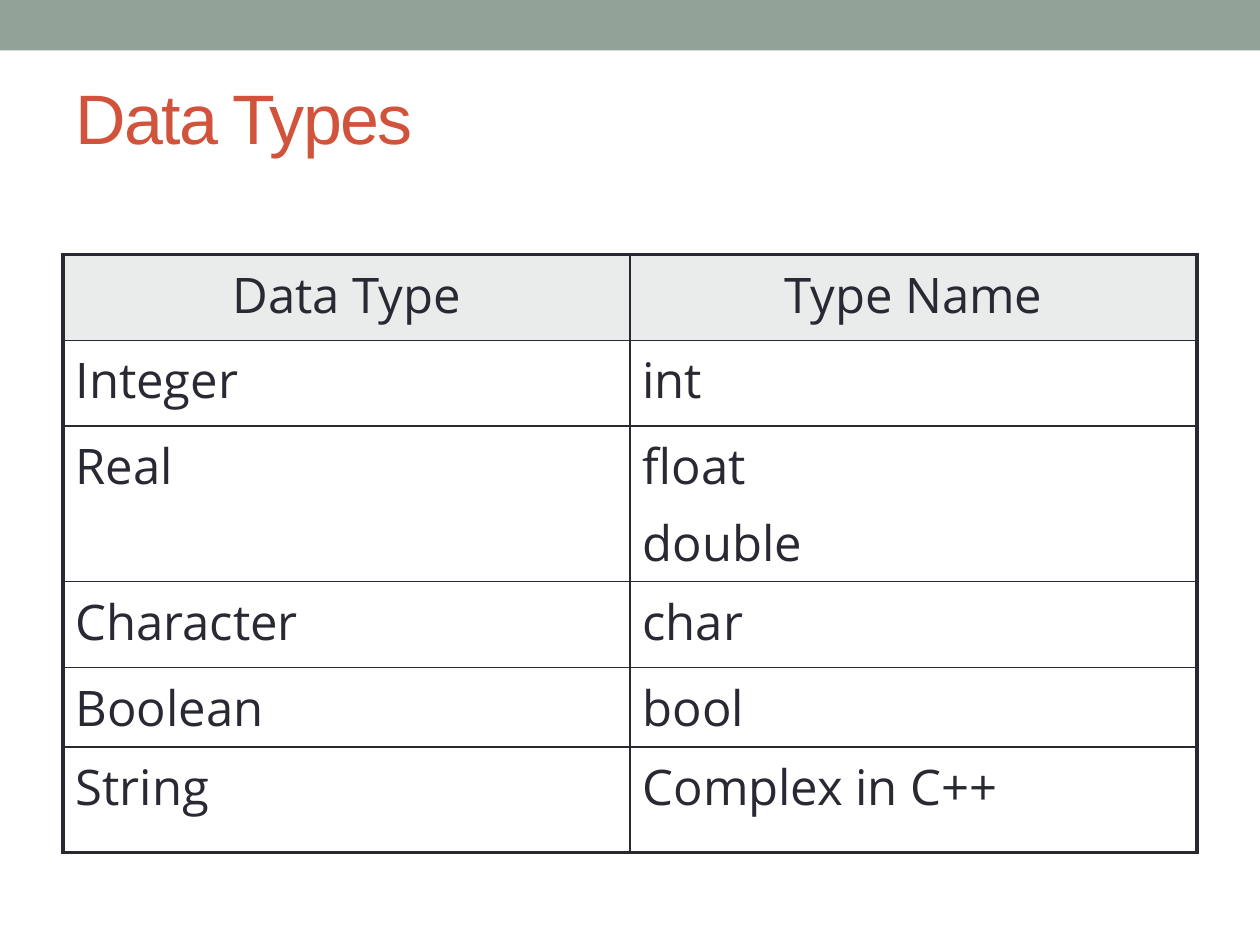
"""Builds the Data Types slide with its table of C++ type names."""
from lxml.etree import SubElement
from pptx import Presentation
from pptx.dml.color import RGBColor
from pptx.enum.shapes import MSO_SHAPE as Preset
from pptx.enum.text import MSO_ANCHOR as Anchor, MSO_AUTO_SIZE as AutoSize, PP_ALIGN as Align
from pptx.oxml.ns import qn
from pptx.util import Cm, Pt

INK, RUST, SAGE, MIST = "292934", "D2533C", "93A299", "E9ECEB"
TYPE_ROWS = [
    ("Data Type", "Type Name", 1.73),
    ("Integer", "int", 1.73),
    ("Real", "float\ndouble", 2.74),
    ("Character", "char", 1.73),
    ("Boolean", "bool", 1.6),
    ("String", "Complex in C++", 2.13),
]


def color(hex_code):
    return RGBColor.from_string(hex_code)


def apply(target, values):
    for name, value in values.items():
        setattr(target, name, value)


class SlideBuilder:
    title_font = {"name": "Arial", "size": Pt(40), "bold": False}
    cell_font = {"name": "Open Sans", "size": Pt(28), "bold": False}
    thin, thick = Pt(1), Pt(2.25)

    def __init__(self, deck):
        self.slide = deck.slides.add_slide(deck.slide_layouts[5])

    def band(self, width, height, fill):
        band = self.slide.shapes.add_shape(Preset.RECTANGLE, 0, 0, width, height)
        band.shadow.inherit = False
        band.fill.solid()
        band.fill.fore_color.rgb = color(fill)
        band.line.fill.background()

    def title(self, wording, box):
        title = self.slide.shapes.title
        apply(title, box)
        apply(title.text_frame, {"text": wording, "vertical_anchor": Anchor.MIDDLE,
                                 "auto_size": AutoSize.NONE, "word_wrap": True})
        heading = title.text_frame.paragraphs[0]
        heading.alignment = Align.LEFT
        run = heading.runs[0]
        apply(run.font, self.title_font)
        run.font.color.rgb = color(RUST)
        run.font._element.set("spc", "-100")

    def borders(self, cell, widths):
        properties = cell._tc.get_or_add_tcPr()
        for side, width in widths.items():
            edge = SubElement(properties, qn(f"a:ln{side}"), w=str(width))
            ink = SubElement(edge, qn("a:solidFill"))
            SubElement(ink, qn("a:srgbClr"), val=INK)

    def cell(self, cell, wording, is_header):
        cell.text = wording
        for paragraph in cell.text_frame.paragraphs:
            apply(paragraph, {"alignment": Align.CENTER if is_header else Align.LEFT,
                              "space_before": Pt(5.6)})
            for run in paragraph.runs:
                apply(run.font, self.cell_font)
                run.font.color.rgb = color(INK)
        if is_header:
            cell.fill.solid()
            cell.fill.fore_color.rgb = color(MIST)
        else:
            cell.fill.background()

    def table(self, rows, left, top, width):
        height = Cm(sum(row[-1] for row in rows))
        table = self.slide.shapes.add_table(len(rows), 2, left, top, width, height).table
        table.horz_banding = False
        last = len(rows) - 1
        for r, (*wordings, row_height) in enumerate(rows):
            table.rows[r].height = Cm(row_height)
            for c, wording in enumerate(wordings):
                cell = table.cell(r, c)
                outer = {"L": c == 0, "R": c == 1, "T": r == 0, "B": r == last}
                self.borders(cell, {side: self.thick if edge else self.thin
                                    for side, edge in outer.items()})
                self.cell(cell, wording, r == 0)


def main():
    deck = Presentation()
    apply(deck, {"slide_width": Cm(25.4), "slide_height": Cm(19.05)})
    builder = SlideBuilder(deck)
    builder.band(deck.slide_width, Cm(1.02), SAGE)
    builder.title("Data Types", {"left": Cm(1.27), "top": Cm(0.76),
                                 "width": Cm(22.86), "height": Cm(3.18)})
    builder.table(TYPE_ROWS, Cm(1.27), Cm(5.13), Cm(22.86))
    deck.save("out.pptx")


if __name__ == "__main__":
    main()
